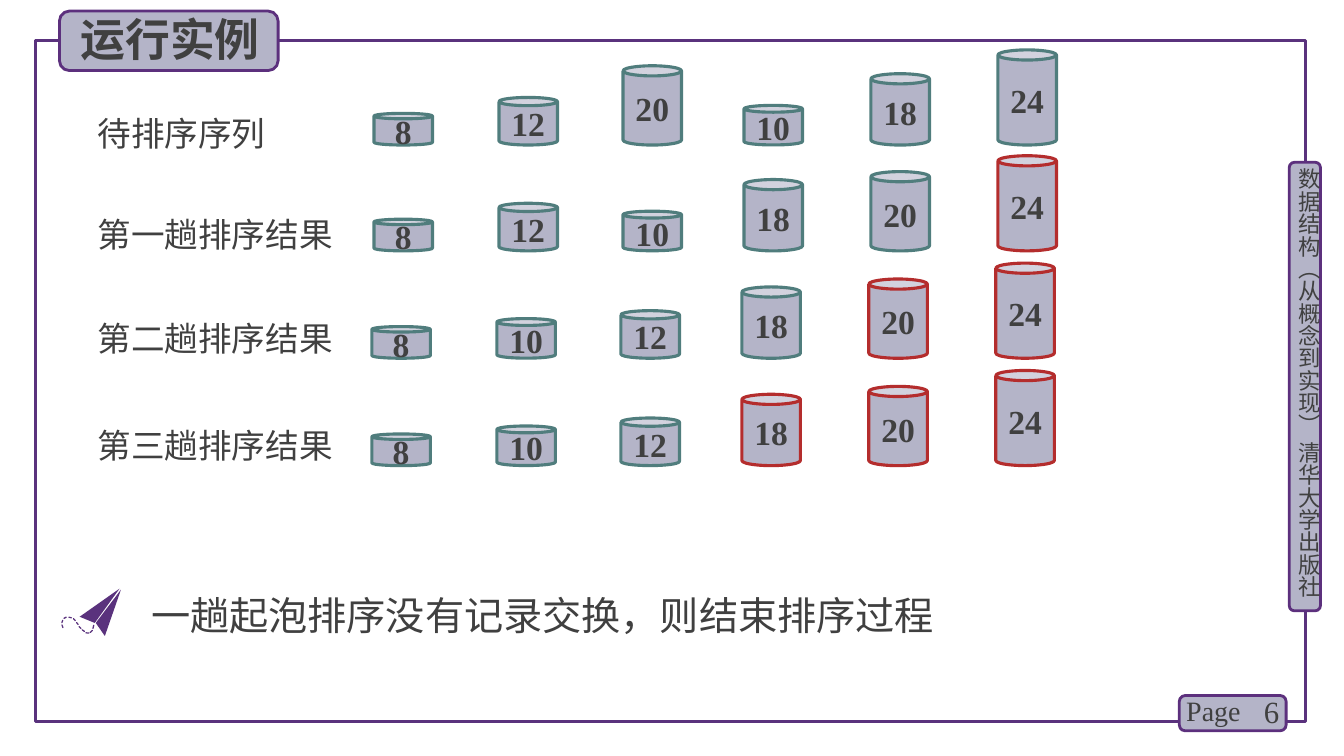
"""Build the slide that traces bubble sort on a row of cylinders."""
from dataclasses import dataclass
from math import hypot

from lxml.etree import SubElement
from pptx import Presentation
from pptx.dml.color import RGBColor
from pptx.enum.shapes import MSO_SHAPE
from pptx.enum.text import MSO_ANCHOR, PP_ALIGN
from pptx.oxml.ns import qn
from pptx.util import Pt

CHINESE, LATIN = "Noto Sans CJK SC", "Times New Roman"
INK, LILAC, PURPLE, FRAME = "404040", "B4B4C8", "5C307D", "5A327D"
PENDING, SETTLED = "507D7D", "B42D2D"

COLUMN_LEFTS = (267.1, 356.4, 445, 531.4, 622.1, 712.8)
CYLINDER_WIDTH = 41.8
HEIGHT_PER_UNIT = 2.83
UNITS_PER_POINT = 100


@dataclass(frozen=True)
class Box:
    left: float
    top: float
    width: float
    height: float

    def lengths(self):
        return Pt(self.left), Pt(self.top), Pt(self.width), Pt(self.height)


@dataclass(frozen=True)
class Caption:
    text: str
    box: Box
    size: float
    font: str = CHINESE
    bold: bool = False
    align: PP_ALIGN = PP_ALIGN.LEFT
    anchor: MSO_ANCHOR = MSO_ANCHOR.TOP


@dataclass(frozen=True)
class SortPass:
    label: str
    label_top: float
    label_width: float
    values: tuple[int, ...]
    baseline: float
    shift: float
    settled: int


@dataclass(frozen=True)
class Dash:
    x1: float
    y1: float
    x2: float
    y2: float

    def outline(self, half=0.45):
        length = hypot(self.x2 - self.x1, self.y2 - self.y1)
        ux = (self.x2 - self.x1) / length * half
        uy = (self.y2 - self.y1) / length * half
        return [
            (self.x1 - uy, self.y1 + ux), (self.x1 - ux, self.y1 - uy),
            (self.x1 + uy, self.y1 - ux), (self.x2 + uy, self.y2 - ux),
            (self.x2 + ux, self.y2 + uy), (self.x2 - uy, self.y2 + ux),
        ]


BADGES = (
    Box(920.9, 115.9, 22.3, 320.4),
    Box(842.4, 496.8, 76.3, 25.2),
    Box(42.5, 7.9, 156.2, 42.5),
)
CAPTIONS = (
    Caption("6", Box(878.4, 493.9, 42.5, 28.8), 22, LATIN,
            align=PP_ALIGN.RIGHT, anchor=MSO_ANCHOR.MIDDLE),
    Caption("Page", Box(840.2, 491.8, 56.2, 31.7), 20, LATIN),
    Caption("运行实例", Box(50.4, 5, 151.2, 46.1), 32, bold=True),
    Caption("一趟起泡排序没有记录交换，则结束排序过程",
            Box(100.8, 419, 648.7, 41), 28),
)
BOOK_TITLE = Caption("数据结构（从概念到实现） 清华大学出版社",
                     Box(925.2, 120.2, 19.4, 323.3), 16)
PASSES = (
    SortPass("待排序序列", 77, 146.2, (8, 12, 20, 10, 18, 24), 103.6, 0, 0),
    SortPass("第一趟排序结果", 149, 198, (8, 12, 10, 18, 20, 24), 179.2, 0, 1),
    SortPass("第二趟排序结果", 223.2, 198, (8, 10, 12, 18, 20, 24), 255.9, -1.5, 2),
    SortPass("第三趟排序结果", 300.2, 211, (8, 10, 12, 18, 20, 24), 332.6, -1.5, 3),
)
WINGS = (
    [(86.4, 421.2), (74.9, 454.3), (68.4, 445), (86.4, 421.2)],
    [(85.4, 420.5), (67.7, 445), (56.9, 440.6), (85.4, 420.5)],
)
TRAIL = (
    Dash(67, 446.7, 66.4, 449),
    Dash(66, 450.4, 64.4, 451.8),
    Dash(63.5, 452.2, 61.4, 452),
    Dash(60.3, 451, 58.7, 449.9),
    Dash(57.9, 448.9, 56.6, 447.6),
    Dash(55.9, 446.1, 54.7, 444.7),
    Dash(53.8, 443.3, 52.5, 441.9),
    Dash(51, 441.3, 49.2, 440.9),
    Dash(47.3, 440.9, 45.7, 441.7),
    Dash(45, 448.3, 44.3, 446.4),
    Dash(44.8, 443.1, 44.2, 444.8),
)


def rgb(value: str) -> RGBColor:
    return RGBColor.from_string(value)


def write(frame, text: str, size: float, font: str, bold: bool, align):
    paragraph = frame.paragraphs[0]
    paragraph.text = text
    paragraph.alignment = align
    paragraph.font.size = Pt(size)
    paragraph.font.bold = bold
    paragraph.font.color.rgb = rgb(INK)
    paragraph.font.name = font
    defaults = paragraph._p.pPr.find(qn("a:defRPr"))
    SubElement(defaults, qn("a:ea")).set("typeface", font)


def add_caption(shapes, caption: Caption):
    textbox = shapes.add_textbox(*caption.box.lengths())
    frame = textbox.text_frame
    frame.word_wrap = True
    frame.vertical_anchor = caption.anchor
    write(frame, caption.text, caption.size, caption.font, caption.bold, caption.align)
    return frame


def add_outlined(shapes, preset, box: Box, line: str, weight: float, fill: str = ""):
    shape = shapes.add_shape(preset, *box.lengths())
    shape.shadow.inherit = False
    if fill:
        shape.fill.solid()
        shape.fill.fore_color.rgb = rgb(fill)
    else:
        shape.fill.background()
    shape.line.color.rgb = rgb(line)
    shape.line.width = Pt(weight)
    return shape


def add_book_title(shapes):
    frame = add_caption(shapes, BOOK_TITLE)
    frame.margin_left = frame.margin_right = frame.margin_top = frame.margin_bottom = 0
    frame._txBody.bodyPr.set("vert", "eaVert")


def add_pass(shapes, sort_pass: SortPass):
    label_box = Box(62.6, sort_pass.label_top, sort_pass.label_width, 36)
    add_caption(shapes, Caption(sort_pass.label, label_box, 24))
    first_settled = len(sort_pass.values) - sort_pass.settled
    for column, (left, value) in enumerate(zip(COLUMN_LEFTS, sort_pass.values)):
        height = value * HEIGHT_PER_UNIT
        box = Box(left + sort_pass.shift, sort_pass.baseline - height, CYLINDER_WIDTH, height)
        line = SETTLED if column >= first_settled else PENDING
        cylinder = add_outlined(shapes, MSO_SHAPE.CAN, box, line, 2.25, LILAC)
        cylinder.adjustments[0] = 0.173
        cylinder.text_frame.word_wrap = False
        cylinder.text_frame.vertical_anchor = MSO_ANCHOR.MIDDLE
        write(cylinder.text_frame, str(value), 24, LATIN, True, PP_ALIGN.CENTER)


def add_paper_plane(shapes):
    plane = shapes.add_group_shape().shapes
    for outline in (*WINGS, *(dash.outline() for dash in TRAIL)):
        points = [(round(x * UNITS_PER_POINT), round(y * UNITS_PER_POINT)) for x, y in outline]
        builder = plane.build_freeform(*points[0], scale=Pt(1) / UNITS_PER_POINT)
        builder.add_line_segments(points[1:], close=True)
        part = builder.convert_to_shape()
        part.shadow.inherit = False
        part.fill.solid()
        part.fill.fore_color.rgb = rgb(FRAME)
        part.line.fill.background()


def main():
    presentation = Presentation()
    presentation.slide_width, presentation.slide_height = Pt(960), Pt(540)
    shapes = presentation.slides.add_slide(presentation.slide_layouts[6]).shapes
    add_outlined(shapes, MSO_SHAPE.RECTANGLE, Box(25.2, 28.8, 907.2, 486.5), FRAME, 2.25)
    for badge in BADGES:
        add_outlined(shapes, MSO_SHAPE.ROUNDED_RECTANGLE, badge, PURPLE, 2, LILAC)
    add_book_title(shapes)
    for caption in CAPTIONS:
        add_caption(shapes, caption)
    for sort_pass in PASSES:
        add_pass(shapes, sort_pass)
    add_paper_plane(shapes)
    presentation.save("out.pptx")


if __name__ == "__main__":
    main()
